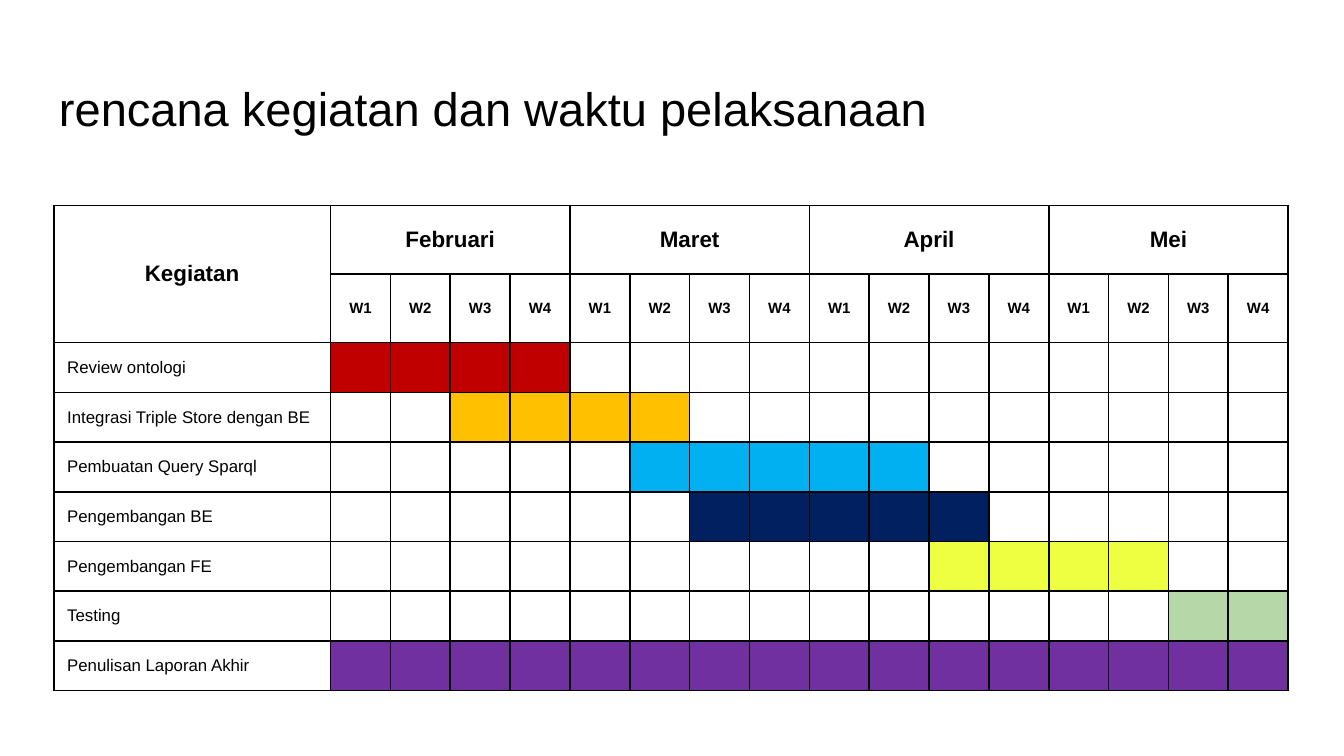
from lxml import etree
from pptx import Presentation
from pptx import util as u
from pptx.dml.color import RGBColor
from pptx.enum import text
from pptx.oxml.ns import qn

COLORS = {
    "ink": "000000", "paper": "FFFFFF", "red": "C00000", "amber": "FFC000",
    "sky": "00B0F0", "navy": "002060", "lime": "EEFF41", "sage": "B6D7A8",
    "purple": "7030A0",
}
FONT = "Arial"
TITLE = "rencana kegiatan dan waktu pelaksanaan"
ACTIVITY_HEADING = "Kegiatan"
MONTHS = ["Februari", "Maret", "April", "Mei"]
WEEKS = ["W1", "W2", "W3", "W4"]
ACTIVITIES = [
    ("Review ontologi", 1, 4, "red"),
    ("Integrasi Triple Store dengan BE", 3, 6, "amber"),
    ("Pembuatan Query Sparql", 6, 10, "sky"),
    ("Pengembangan BE", 7, 11, "navy"),
    ("Pengembangan FE", 11, 14, "lime"),
    ("Testing", 15, 16, "sage"),
    ("Penulisan Laporan Akhir", 1, 16, "purple"),
]
SLIDE_WIDTH = 10
SLIDE_HEIGHT = SLIDE_WIDTH * 9 / 16
HEADER_ROWS = 2
WEEK_COUNT = len(MONTHS) * len(WEEKS)
LEFT, TOP, WIDTH = 0.4, 1.53, 9.19
ACTIVITY_WIDTH, HEADER_HEIGHT, ACTIVITY_HEIGHT = 2.06, 0.51, 0.37
WEEK_WIDTH = (WIDTH - ACTIVITY_WIDTH) / WEEK_COUNT


def write(paragraph, words, size, bold=False, align=text.PP_ALIGN.LEFT):
    paragraph.alignment = align
    run = paragraph.add_run()
    run.text = words
    run.font.name = FONT
    run.font.size = u.Pt(size)
    run.font.bold = bold
    run.font.color.rgb = RGBColor.from_string(COLORS["ink"])


def style_cell(cell, color="paper"):
    properties = cell._tc.get_or_add_tcPr()
    for side in ("lnL", "lnR", "lnT", "lnB"):
        border = etree.SubElement(properties, qn(f"a:{side}"), w=str(u.Pt(1)))
        line = etree.SubElement(border, qn("a:solidFill"))
        etree.SubElement(line, qn("a:srgbClr"), val=COLORS["ink"])
    cell.fill.solid()
    cell.fill.fore_color.rgb = RGBColor.from_string(COLORS[color])
    cell.margin_top = cell.margin_bottom = 0
    cell.vertical_anchor = text.MSO_ANCHOR.MIDDLE


def label(cell, words, size, bold=True, align=text.PP_ALIGN.CENTER):
    cell.margin_left = cell.margin_right = u.Inches(0.1)
    cell.margin_top = cell.margin_bottom = u.Inches(0.05)
    write(cell.text_frame.paragraphs[0], words, size, bold, align)


def add_title(slide):
    title = slide.shapes.add_textbox(
        u.Inches(0.34), u.Inches(0.49), u.Inches(9.32), u.Inches(0.63))
    frame = title.text_frame
    frame.word_wrap = True
    frame.vertical_anchor = text.MSO_ANCHOR.MIDDLE
    frame.margin_left = frame.margin_right = u.Inches(0.1)
    frame.margin_top = frame.margin_bottom = u.Inches(0.1)
    write(frame.paragraphs[0], TITLE, 25.2)


def add_schedule(slide):
    heights = [HEADER_HEIGHT] * HEADER_ROWS + [ACTIVITY_HEIGHT] * len(ACTIVITIES)
    schedule = slide.shapes.add_table(
        len(heights), 1 + WEEK_COUNT, u.Inches(LEFT), u.Inches(TOP),
        u.Inches(WIDTH), u.Inches(sum(heights))).table
    schedule.first_row = schedule.horz_banding = False
    for row, height in zip(schedule.rows, heights):
        row.height = u.Inches(height)
    for number, column in enumerate(schedule.columns):
        column.width = u.Inches(WEEK_WIDTH if number else ACTIVITY_WIDTH)

    for row in range(len(heights)):
        for column in range(1 + WEEK_COUNT):
            color = "paper"
            if row >= HEADER_ROWS:
                _, start, end, bar = ACTIVITIES[row - HEADER_ROWS]
                color = bar if start <= column <= end else color
            style_cell(schedule.cell(row, column), color)

    heading = schedule.cell(0, 0)
    heading.merge(schedule.cell(1, 0))
    label(heading, ACTIVITY_HEADING, 12)
    for index, month in enumerate(MONTHS):
        first = 1 + index * len(WEEKS)
        month_cell = schedule.cell(0, first)
        month_cell.merge(schedule.cell(0, first + len(WEEKS) - 1))
        label(month_cell, month, 12)
        for offset, week in enumerate(WEEKS):
            label(schedule.cell(1, first + offset), week, 8)
    for row, (activity, *_) in enumerate(ACTIVITIES, HEADER_ROWS):
        label(schedule.cell(row, 0), activity, 9, False, text.PP_ALIGN.LEFT)


def main():
    deck = Presentation()
    deck.slide_width = u.Inches(SLIDE_WIDTH)
    deck.slide_height = u.Inches(SLIDE_HEIGHT)
    slide = deck.slides.add_slide(deck.slide_layouts[6])
    add_title(slide)
    add_schedule(slide)
    deck.save("out.pptx")


if __name__ == "__main__":
    main()
